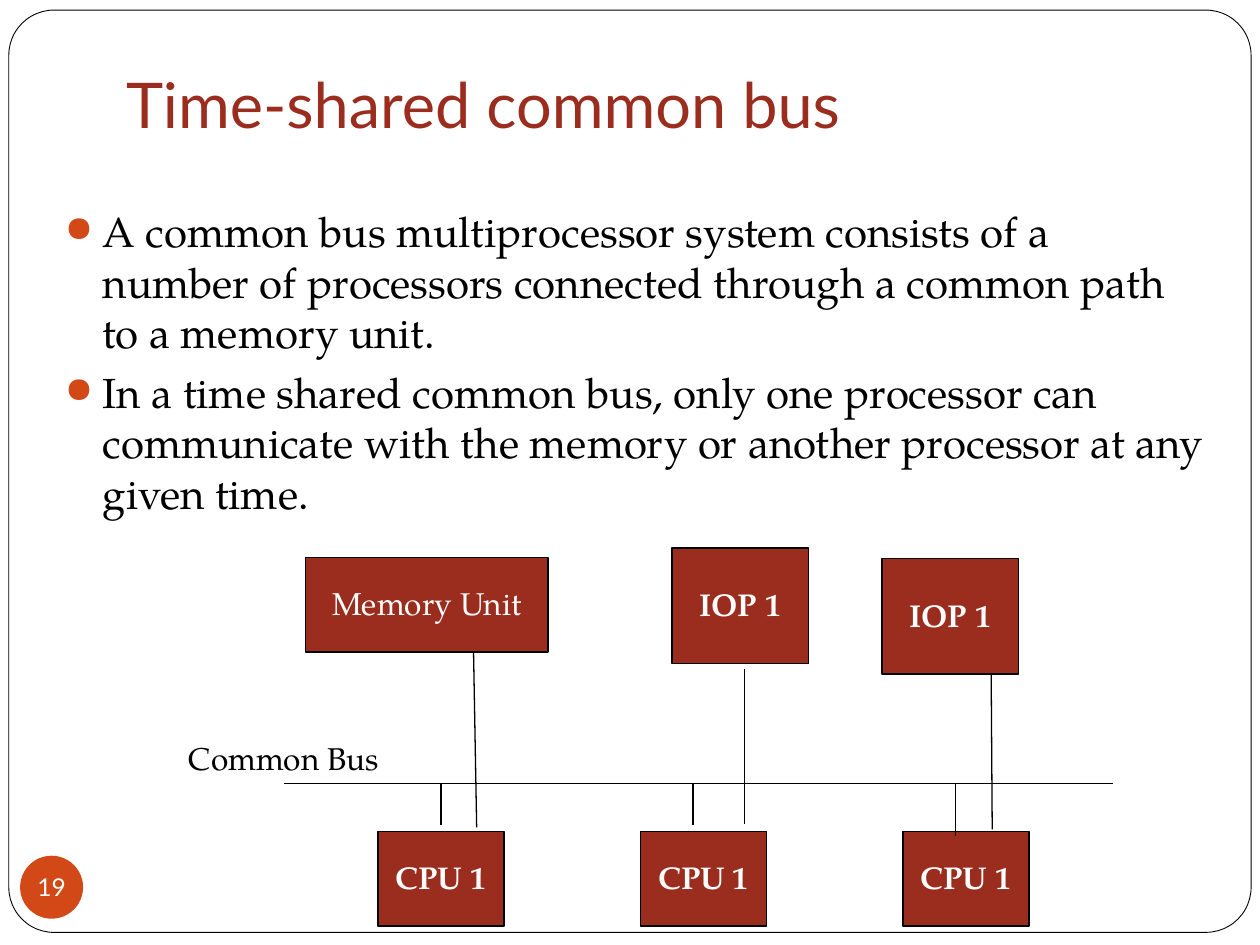
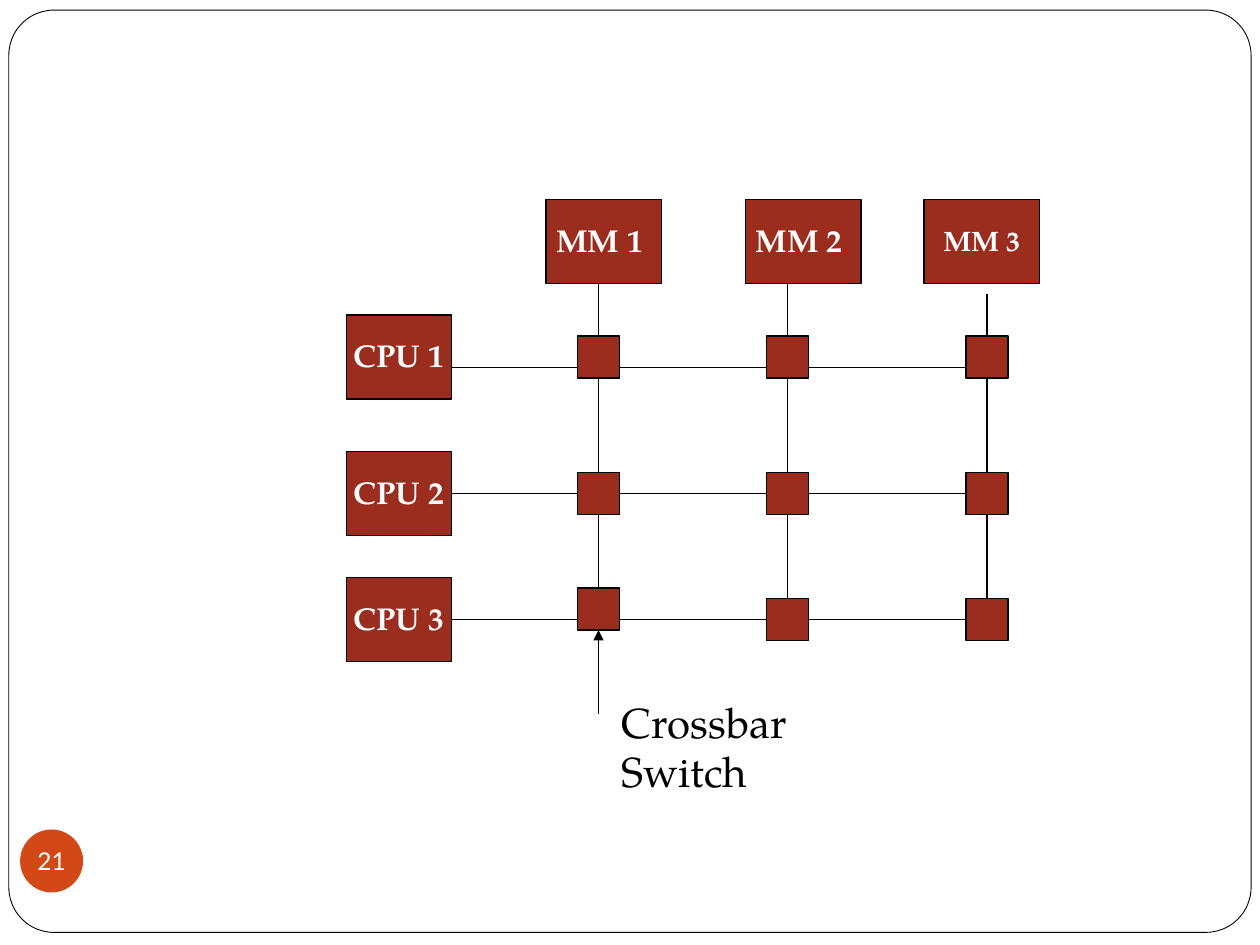
from dataclasses import dataclass

from lxml import etree
from pptx import Presentation
from pptx import util as u
from pptx.dml.color import RGBColor
from pptx.enum import shapes, text
from pptx.oxml.ns import qn


@dataclass(frozen=True)
class Theme:
    columns: int = 120
    rows: int = 90
    width: float = u.Inches(10)
    height: float = u.Inches(7.5)
    paper: str = "FFFFFF"
    ink: str = "000000"
    brick: str = "9B2D1F"
    orange: str = "D34817"
    heading_font: str = "Lato"
    body_font: str = "TeX Gyre Pagella"
    title_size: int = 36
    body_size: int = 24
    label_size: int = 18
    small_size: int = 16
    badge_size: int = 14
    stroke: float = 0.74
    frame_stroke: float = 0.5
    spacing: float = 0.97


THEME = Theme()
SHAPE = shapes.MSO_SHAPE
MIDDLE = text.MSO_ANCHOR.MIDDLE
CENTER = text.PP_ALIGN.CENTER


def across(columns):
    return round(THEME.width * columns / THEME.columns)


def down(rows):
    return round(THEME.height * rows / THEME.rows)


def area(left, top, width, height):
    return across(left), down(top), across(width), down(height)


def color(code):
    return RGBColor.from_string(code)


def add_bullet(para):
    props = para._p.get_or_add_pPr()
    props.set("marL", str(u.Inches(0.3)))
    props.set("indent", str(u.Inches(-0.3)))
    tint = etree.SubElement(props, qn("a:buClr"))
    etree.SubElement(tint, qn("a:srgbClr"), val=THEME.orange)
    etree.SubElement(props, qn("a:buSzPct"), val="85000")
    etree.SubElement(props, qn("a:buChar"), char="●")


def write(box, *paragraphs, size=THEME.label_size, font=THEME.body_font,
          ink=THEME.ink, bold=False, align=None, anchor=text.MSO_ANCHOR.TOP,
          insets=(0.1, 0.05, 0.1, 0.05), wrap=True, before=None, spacing=None,
          bullet=False, fit=text.MSO_AUTO_SIZE.NONE):
    frame = box.text_frame
    frame.auto_size = fit
    frame.word_wrap = wrap
    frame.vertical_anchor = anchor
    (frame.margin_left, frame.margin_top,
     frame.margin_right, frame.margin_bottom) = map(u.Inches, insets)
    for index, words in enumerate(paragraphs):
        para = frame.add_paragraph() if index else frame.paragraphs[0]
        para.alignment = align
        if spacing:
            para.line_spacing = spacing
        if before:
            para.space_before = u.Pt(before)
        if bullet:
            add_bullet(para)
        span = para.add_run()
        span.text = words
        span.font.size = u.Pt(size)
        span.font.name = font
        span.font.bold = bold
        span.font.color.rgb = color(ink)


def add_text(page, place, *paragraphs, **style):
    box = page.shapes.add_textbox(*area(*place))
    write(box, *paragraphs, **style)


def add_label(page, place, words, **style):
    add_text(page, place, words, spacing=THEME.spacing,
             fit=text.MSO_AUTO_SIZE.SHAPE_TO_FIT_TEXT, **style)


def add_figure(page, kind, place, fill, stroke=None):
    figure = page.shapes.add_shape(kind, *area(*place))
    figure.shadow.inherit = False
    figure.fill.solid()
    figure.fill.fore_color.rgb = color(fill)
    if stroke:
        figure.line.color.rgb = color(THEME.ink)
        figure.line.width = u.Pt(stroke)
    else:
        figure.line.fill.background()
    return figure


def add_block(page, place, words=None, bold=True, size=THEME.label_size):
    block = add_figure(page, SHAPE.RECTANGLE, place, THEME.brick, THEME.stroke)
    if words:
        write(block, words, size=size, ink=THEME.paper, bold=bold, align=CENTER,
              anchor=MIDDLE, wrap=False, spacing=THEME.spacing)


def add_wire(page, x1, y1, x2, y2, arrow=False):
    wire = page.shapes.add_connector(shapes.MSO_CONNECTOR.STRAIGHT,
                                     across(x1), down(y1), across(x2), down(y2))
    wire.line.color.rgb = color(THEME.ink)
    wire.line.width = u.Pt(THEME.stroke)
    if arrow:
        etree.SubElement(wire.line._get_or_add_ln(), qn("a:tailEnd"), type="triangle")
    etree.SubElement(wire._element.spPr, qn("a:effectLst"))


def add_page(deck):
    page = deck.slides.add_slide(deck.slide_layouts[6])
    frame = add_figure(page, SHAPE.ROUNDED_RECTANGLE, (0.84, 0.96, 118.32, 87.84),
                       THEME.paper, THEME.frame_stroke)
    frame.adjustments[0] = 0.049
    return page


def add_badge(page, number, top):
    badge = add_figure(page, SHAPE.OVAL, (1.92, top, 6, 6), THEME.orange)
    write(badge, str(number), size=THEME.badge_size, font=THEME.heading_font,
          ink=THEME.paper, align=CENTER, anchor=MIDDLE, insets=(0, 0, 0, 0), wrap=False)


def build_common_bus(deck):
    page = add_page(deck)
    add_text(page, (12, 5, 86, 15.6), "Time-shared common bus",
             size=THEME.title_size, font=THEME.heading_font, ink=THEME.brick,
             anchor=text.MSO_ANCHOR.BOTTOM, insets=(0, 0, 0, 0.6))
    add_text(page, (5, 19, 111, 61.3),
             "A common bus multiprocessor system consists of a number of processors "
             "connected through a common path to a memory unit.",
             "In a time shared common bus, only one processor can communicate with "
             "the memory or another processor at any given time.",
             size=THEME.body_size, before=5.5, bullet=True)

    bus, cpu_top = 74.6, 79.2
    add_block(page, (29.1, 53.1, 23.1, 9), "Memory Unit", bold=False)
    for left, top in ((84, 53.2), (64, 52.2)):
        add_block(page, (left, top, 13, 11), "IOP 1")
    add_wire(page, 27, bus, 106, bus)
    for step in range(3):
        add_block(page, (36 + 25 * step, cpu_top, 12, 9), "CPU 1")
    for x, end in ((42, 78.6), (66, 78.6), (91, 79.6)):
        add_wire(page, x, bus, x, end)
    for x1, y1, x2, y2 in ((45.1, 62.1, 45.4, 78.8), (70.9, 63.7, 70.9, 78.5),
                           (94.4, 64.2, 94.5, 79)):
        add_wire(page, x1, y1, x2, y2)
    add_label(page, (16.8, 70, 26, 4.7), "Common Bus", before=11.2)
    add_badge(page, 19, 81.5)


def build_crossbar(deck):
    page = add_page(deck)
    side = 4
    cpu_left, cpu_width = 33, 10
    memory_top, memory_height = 19, 8
    cpu_tops = (30, 43, 55)
    switch_lefts = (55, 73, 92)
    switch_tops = ((32, 45, 56), (32, 45, 57), (32, 45, 57))
    wire_starts = (27, 27, 28)
    memories = ((52, "MM 1 ", THEME.label_size), (71, "MM 2 ", THEME.label_size),
                (88, "MM 3", THEME.small_size))

    for number, top in enumerate(cpu_tops, 1):
        add_block(page, (cpu_left, top, cpu_width, 8), f"CPU {number}")
    for left, words, size in memories:
        add_block(page, (left, memory_top, 11, memory_height), words, size=size)

    for left, tops, start in zip(switch_lefts, switch_tops, wire_starts):
        for top in tops:
            add_block(page, (left, top, side, side))
            add_wire(page, left + side / 2, start, left + side / 2, top)
            start = top + side
    for top in cpu_tops:
        wire_row = 35 if top == cpu_tops[0] else top + 4
        start = cpu_left + cpu_width
        for left in switch_lefts:
            add_wire(page, start, wire_row, left, wire_row)
            start = left + side

    add_wire(page, 57, 68, 57, 60, arrow=True)
    add_label(page, (58, 66, 27, 6), "Crossbar Switch", size=THEME.body_size, before=8.8)
    add_badge(page, 21, 79)


def main():
    deck = Presentation()
    deck.slide_width, deck.slide_height = THEME.width, THEME.height
    build_common_bus(deck)
    build_crossbar(deck)
    deck.save("out.pptx")


main()
